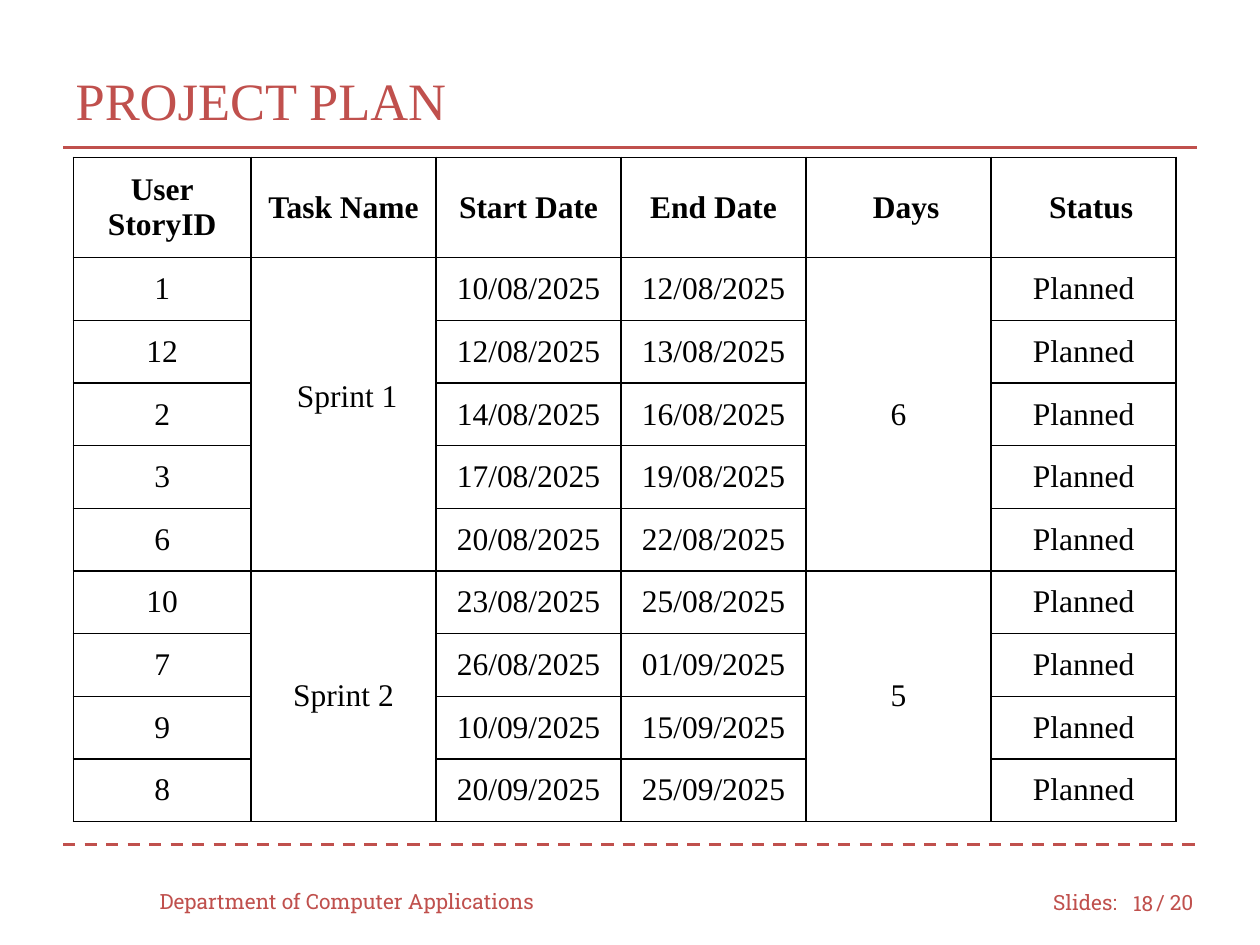
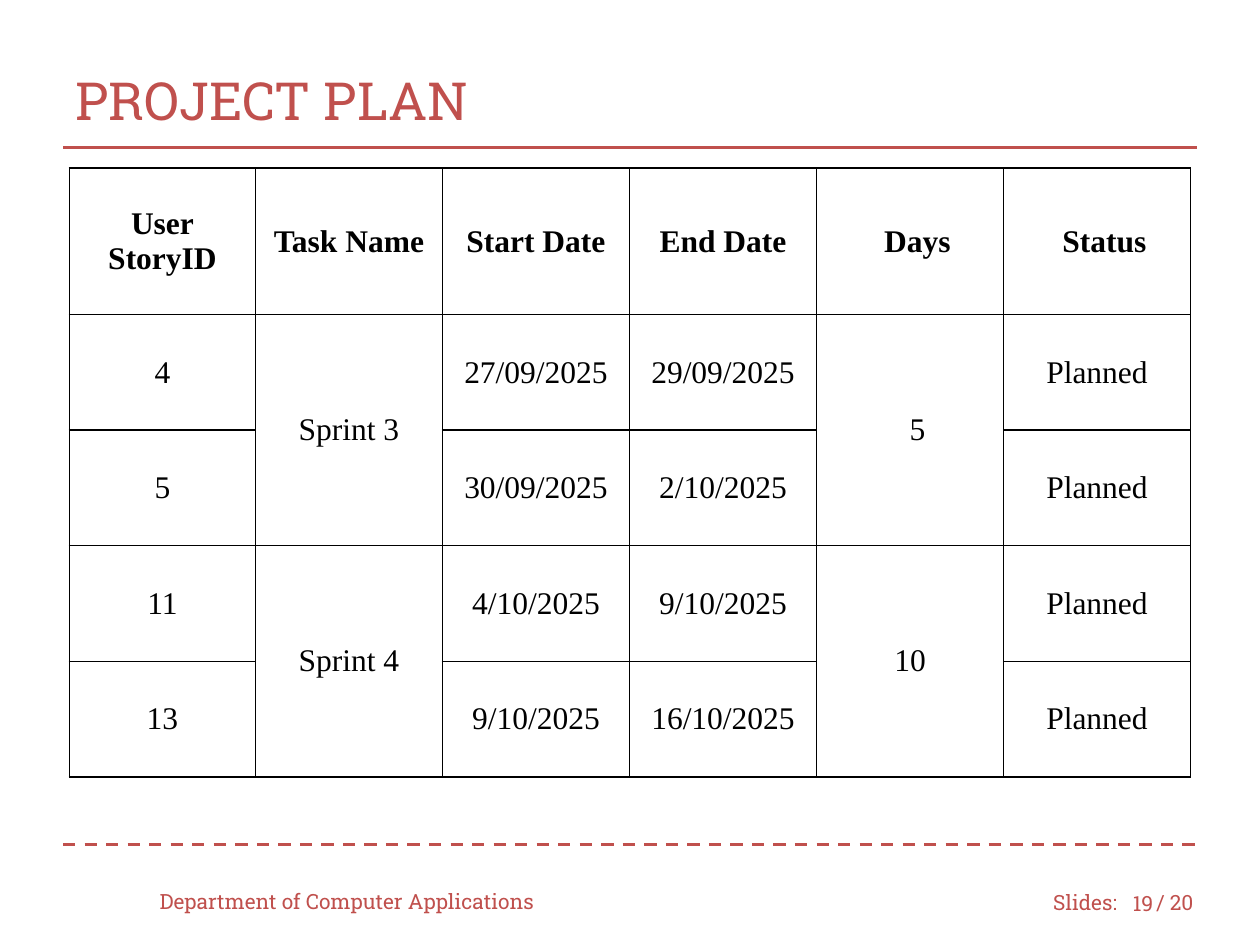
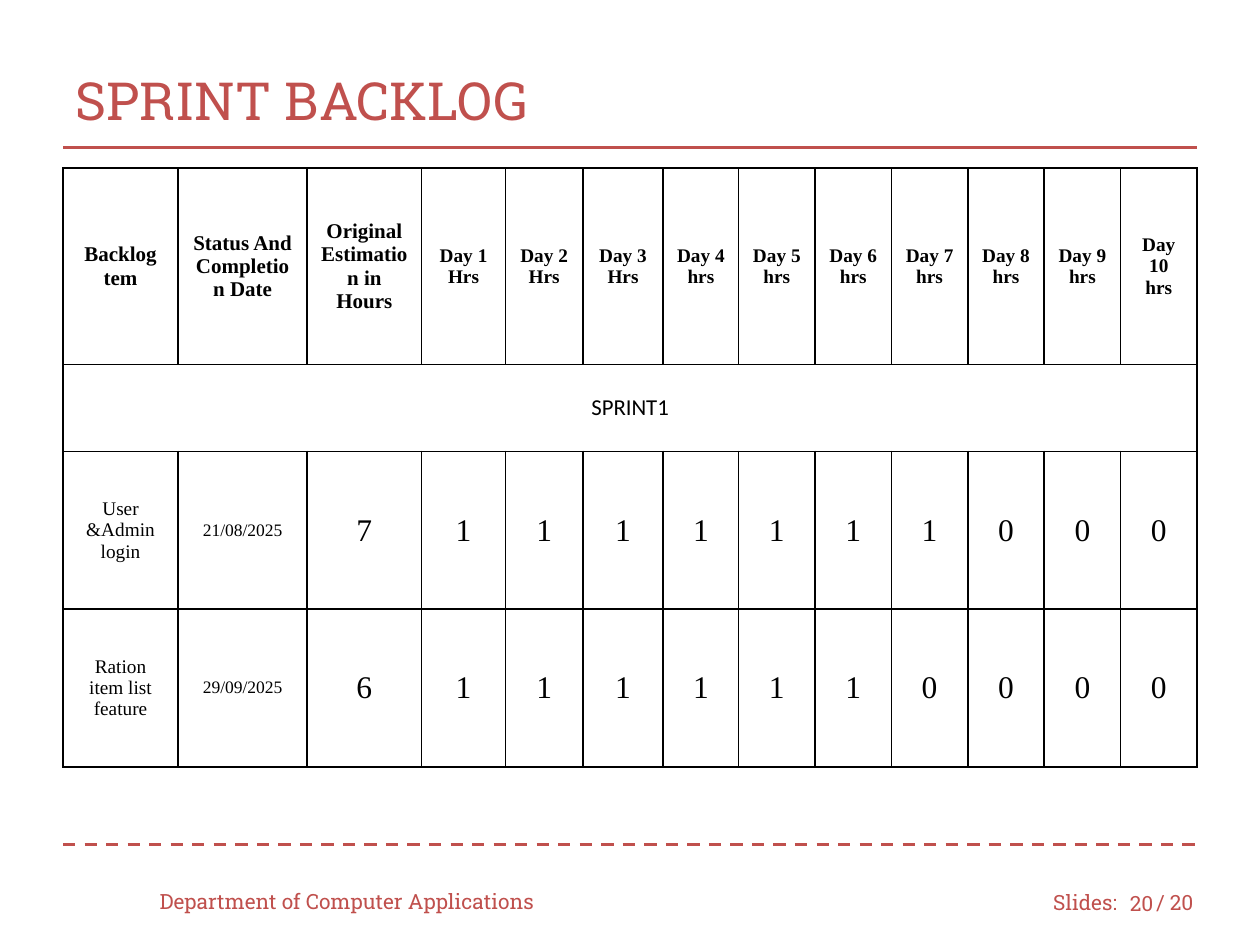
from dataclasses import dataclass, replace
from typing import NamedTuple

from lxml.etree import SubElement
from pptx import Presentation
from pptx.dml.color import RGBColor
from pptx.enum.dml import MSO_LINE
from pptx.enum.shapes import MSO_CONNECTOR
from pptx.enum.text import MSO_ANCHOR, PP_ALIGN
from pptx.oxml import parse_xml
from pptx.oxml.ns import nsdecls, qn
from pptx.slide import Slide
from pptx.table import _Cell
from pptx.text.text import TextFrame
from pptx.util import Cm, Pt


@dataclass(frozen=True)
class Theme:
    accent: RGBColor = RGBColor(0xC0, 0x50, 0x4D)
    ink: RGBColor = RGBColor(0, 0, 0)
    paper: RGBColor = RGBColor(0xFF, 0xFF, 0xFF)
    slab: str = "Roboto Slab"
    serif: str = "Times New Roman"
    sans: str = "Calibri"
    title_size: int = 30
    table_size: int = 18
    band_size: int = 13
    footer_size: int = 12
    heading_size: int = 12
    label_size: int = 11
    date_size: int = 10
    rule_width: float = 1.75
    border_width: float = 1
    cell_margin: float = 0.25


THEME = Theme()
TITLE_ONLY = 5
LAST_PAGE = 20


class Box(NamedTuple):
    left: float
    top: float
    width: float
    height: float


class Rule(NamedTuple):
    top: float
    dash: MSO_LINE


class FooterText(NamedTuple):
    text: str
    box: Box
    alignment: PP_ALIGN = PP_ALIGN.LEFT


@dataclass(frozen=True)
class TableCell:
    text: str
    size: int = THEME.table_size
    bold: bool = False
    font: str = THEME.serif
    extra_left: float = 0
    extra_bottom: float = 0
    row_span: int = 1
    column_span: int = 1


class TablePlan(NamedTuple):
    left: float
    top: float
    columns: list[float]
    rows: list[float]
    cells: dict[tuple[int, int], TableCell]


class Task(NamedTuple):
    story: str
    start: str
    end: str


class Sprint(NamedTuple):
    name: TableCell
    days: TableCell
    tasks: list[Task]


class BacklogItem(NamedTuple):
    name: str
    date: str
    hours: int


TITLE_BOX = Box(1.27, 0.84, 22.86, 2.34)
RULE_LEFT, RULE_RIGHT = 1.27, 24.13
RULES = [Rule(17.02, MSO_LINE.DASH), Rule(2.97, MSO_LINE.SOLID)]

PLAN_HEADINGS = [
    TableCell("User\nStoryID", bold=True),
    TableCell("Task Name", bold=True),
    TableCell("Start Date", bold=True),
    TableCell("End Date", bold=True),
    TableCell("Days", bold=True, extra_left=0.3),
    TableCell("Status", bold=True, extra_left=0.3),
]

FIRST_SPRINTS = [
    Sprint(
        TableCell("Sprint 1", extra_left=0.15, extra_bottom=0.7),
        TableCell("6"),
        [
            Task("1", "10/08/2025", "12/08/2025"),
            Task("12", "12/08/2025", "13/08/2025"),
            Task("2", "14/08/2025", "16/08/2025"),
            Task("3", "17/08/2025", "19/08/2025"),
            Task("6", "20/08/2025", "22/08/2025"),
        ],
    ),
    Sprint(
        TableCell("Sprint 2"),
        TableCell("5"),
        [
            Task("10", "23/08/2025", "25/08/2025"),
            Task("7", "26/08/2025", "01/09/2025"),
            Task("9", "10/09/2025", "15/09/2025"),
            Task("8", "20/09/2025", "25/09/2025"),
        ],
    ),
]

LATER_SPRINTS = [
    Sprint(
        TableCell("Sprint 3"),
        TableCell("5", extra_left=0.3),
        [
            Task("4", "27/09/2025", "29/09/2025"),
            Task("5", "30/09/2025", "2/10/2025"),
        ],
    ),
    Sprint(
        TableCell("Sprint 4"),
        TableCell("10"),
        [
            Task("11", "4/10/2025", "9/10/2025"),
            Task("13", "9/10/2025", "16/10/2025"),
        ],
    ),
]

BACKLOG_HEADINGS = [
    "Backlog tem",
    "Status And Completion Date",
    "Original Estimation in Hours",
]
BACKLOG_ITEMS = [
    BacklogItem("User &Admin login", "21/08/2025", 7),
    BacklogItem("Ration item list feature", "29/09/2025", 6),
]
BACKLOG_DAYS = 10


def style_text(frame: TextFrame, font: str, size: int, color: RGBColor,
               alignment: PP_ALIGN, bold: bool = False) -> None:
    for paragraph in frame.paragraphs:
        paragraph.alignment = alignment
        for run in paragraph.runs:
            run.font.name = font
            run.font.size = Pt(size)
            run.font.bold = bold
            run.font.color.rgb = color


def add_title(slide: Slide, text: str, font: str) -> None:
    title = slide.shapes.title
    title.left, title.top, title.width, title.height = map(Cm, TITLE_BOX)
    title.text_frame.text = text
    title.text_frame.vertical_anchor = MSO_ANCHOR.MIDDLE
    style_text(title.text_frame, font, THEME.title_size, THEME.accent, PP_ALIGN.LEFT)


def add_rule(slide: Slide, rule: Rule) -> None:
    connector = slide.shapes.add_connector(
        MSO_CONNECTOR.STRAIGHT,
        Cm(RULE_LEFT), Cm(rule.top), Cm(RULE_RIGHT), Cm(rule.top),
    )
    connector.line.color.rgb = THEME.accent
    connector.line.width = Pt(THEME.rule_width)
    connector.line.dash_style = rule.dash
    SubElement(connector.element.spPr, qn("a:effectLst"))


def add_footer_text(slide: Slide, footer: FooterText) -> None:
    shape = slide.shapes.add_textbox(*map(Cm, footer.box))
    frame = shape.text_frame
    frame.word_wrap = True
    frame.vertical_anchor = MSO_ANCHOR.MIDDLE
    frame.text = footer.text
    style_text(frame, THEME.slab, THEME.footer_size, THEME.accent, footer.alignment)


def add_frame(slide: Slide, page: int) -> None:
    for rule in RULES:
        add_rule(slide, rule)
    footers = [
        FooterText("Department of Computer Applications", Box(2.97, 17.65, 8.46, 1.02)),
        FooterText("Slides:", Box(20.98, 17.68, 1.9, 1.02)),
        FooterText(str(page), Box(22.43, 17.7, 1.07, 1.02), PP_ALIGN.RIGHT),
        FooterText(f"/ {LAST_PAGE}", Box(23.06, 17.68, 1.47, 1.02)),
    ]
    for footer in footers:
        add_footer_text(slide, footer)


def format_cell(cell: _Cell) -> None:
    cell.fill.solid()
    cell.fill.fore_color.rgb = THEME.paper
    properties = cell._tc.get_or_add_tcPr()
    for index, side in enumerate(("lnL", "lnR", "lnT", "lnB")):
        border = parse_xml(
            f'<a:{side} {nsdecls("a")} w="{Pt(THEME.border_width)}"><a:solidFill>'
            f'<a:srgbClr val="{THEME.ink}"/></a:solidFill></a:{side}>'
        )
        properties.insert(index, border)


def fill_cell(cell: _Cell, content: TableCell) -> None:
    cell.vertical_anchor = MSO_ANCHOR.MIDDLE
    cell.margin_top = cell.margin_right = Cm(THEME.cell_margin)
    cell.margin_left = Cm(THEME.cell_margin + content.extra_left)
    cell.margin_bottom = Cm(THEME.cell_margin + content.extra_bottom)
    cell.text_frame.text = content.text
    style_text(cell.text_frame, content.font, content.size, THEME.ink,
               PP_ALIGN.CENTER, content.bold)


def add_plan_table(slide: Slide, plan: TablePlan) -> None:
    table = slide.shapes.add_table(
        len(plan.rows), len(plan.columns), Cm(plan.left), Cm(plan.top),
        Cm(sum(plan.columns)), Cm(sum(plan.rows)),
    ).table
    table.first_row = table.horz_banding = False
    for column, width in zip(table.columns, plan.columns):
        column.width = Cm(width)
    for row, height in zip(table.rows, plan.rows):
        row.height = Cm(height)
    for cell in table.iter_cells():
        format_cell(cell)
    for (row, column), content in plan.cells.items():
        cell = table.cell(row, column)
        if content.row_span > 1 or content.column_span > 1:
            cell.merge(table.cell(row + content.row_span - 1,
                                  column + content.column_span - 1))
        fill_cell(cell, content)


def sprint_cells(sprints: list[Sprint]) -> dict[tuple[int, int], TableCell]:
    cells = {(0, column): heading for column, heading in enumerate(PLAN_HEADINGS)}
    row = 1
    for sprint in sprints:
        span = len(sprint.tasks)
        cells[row, 1] = replace(sprint.name, row_span=span)
        cells[row, 4] = replace(sprint.days, row_span=span)
        for task in sprint.tasks:
            cells[row, 0] = TableCell(task.story)
            cells[row, 2] = TableCell(task.start)
            cells[row, 3] = TableCell(task.end)
            cells[row, 5] = TableCell("Planned")
            row += 1
    return cells


def backlog_cells() -> dict[tuple[int, int], TableCell]:
    headings = [TableCell(text, THEME.heading_size, True) for text in BACKLOG_HEADINGS]
    for day in range(1, BACKLOG_DAYS + 1):
        unit = "Hrs" if day <= 3 else "hrs"
        headings.append(TableCell(f"Day {day}\n{unit}", THEME.label_size, True))
    cells = {(0, column): heading for column, heading in enumerate(headings)}
    cells[1, 0] = TableCell("SPRINT1", THEME.band_size, font=THEME.sans,
                            column_span=len(headings))
    for row, item in enumerate(BACKLOG_ITEMS, start=2):
        cells[row, 0] = TableCell(item.name, THEME.label_size)
        cells[row, 1] = TableCell(item.date, THEME.date_size)
        cells[row, 2] = TableCell(str(item.hours))
        for day in range(BACKLOG_DAYS):
            cells[row, 3 + day] = TableCell("1" if day < item.hours else "0")
    return cells


def main() -> None:
    presentation = Presentation()
    presentation.slide_width = Cm(25.4)
    presentation.slide_height = Cm(19.05)

    first_plan = TablePlan(1.48, 3.17, [3.58] + [3.73] * 5, [2] + [1.24] * 9,
                           sprint_cells(FIRST_SPRINTS))
    later_plan = TablePlan(1.4, 3.39, [3.75] + [3.77] * 5, [2.95] + [2.33] * 4,
                           sprint_cells(LATER_SPRINTS))
    backlog = TablePlan(1.27, 3.39,
                        [2.32, 2.6, 2.31, 1.69, 1.56, 1.62, 1.52] + [1.54] * 6,
                        [3.96, 1.75, 3.18, 3.18], backlog_cells())
    pages = [
        ("PROJECT PLAN", THEME.serif, first_plan),
        ("PROJECT PLAN", THEME.slab, later_plan),
        ("SPRINT BACKLOG", THEME.slab, backlog),
    ]
    first_page = LAST_PAGE - len(pages) + 1
    for page, (title, font, plan) in enumerate(pages, start=first_page):
        slide = presentation.slides.add_slide(presentation.slide_layouts[TITLE_ONLY])
        add_title(slide, title, font)
        add_frame(slide, page)
        add_plan_table(slide, plan)

    presentation.save("out.pptx")


if __name__ == "__main__":
    main()
